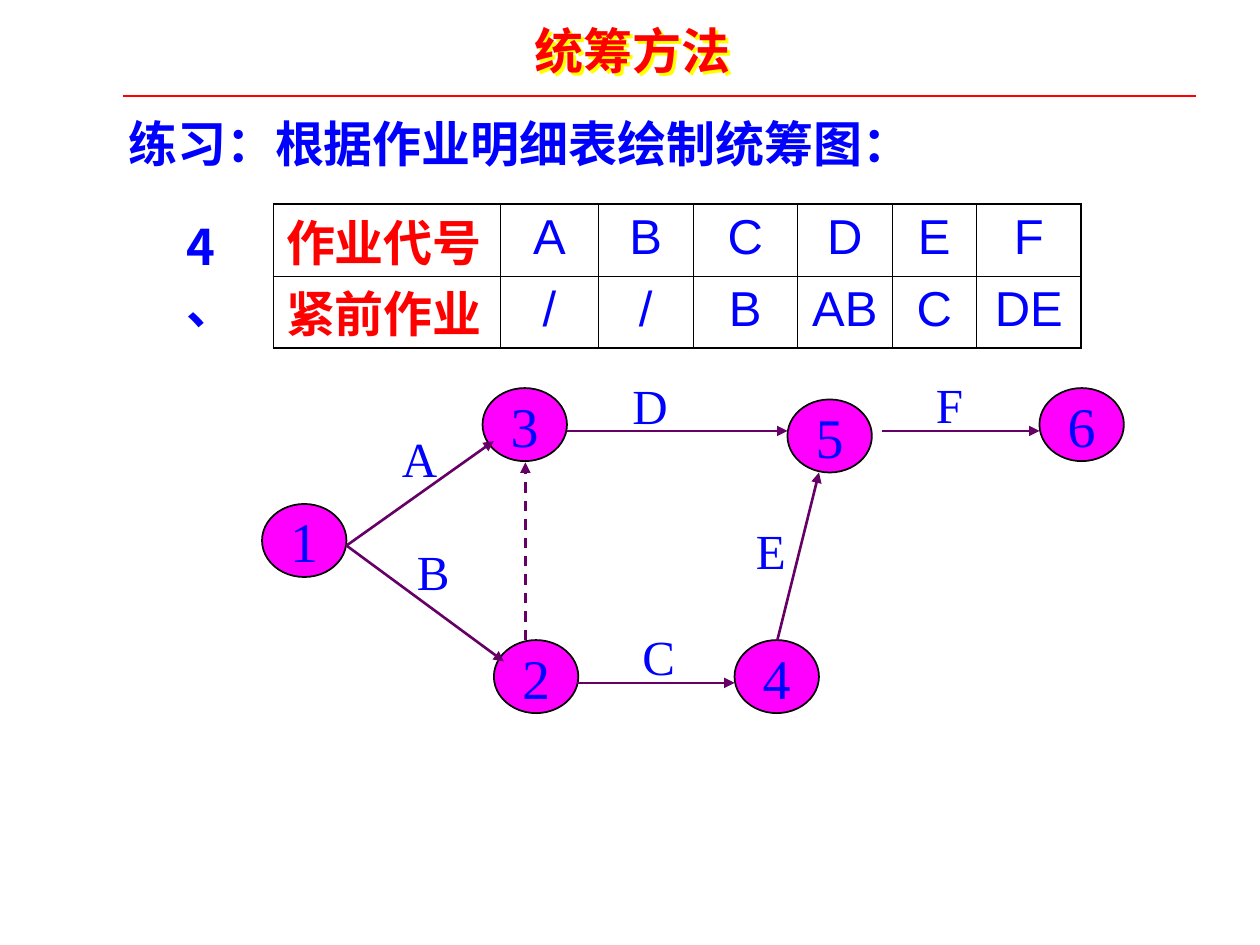
import pptx
import pptx.util
import pptx.dml.color
import pptx.enum.dml
import pptx.enum.shapes
import pptx.enum.text
import pptx.oxml
import pptx.oxml.ns
from lxml import etree

Inches, Pt = pptx.util.Inches, pptx.util.Pt
PP_ALIGN = pptx.enum.text.PP_ALIGN
ANCHOR = pptx.enum.text.MSO_ANCHOR

# Content
TITLE = ("统筹方法", (4.14, 0.11, 1.95, 0.57))
EXERCISE = ("练习：根据作业明细表绘制统筹图：", (0.92, 0.85, 6.77, 0.57))
NUMBER = ("4、", (1.38, 1.67, 0.79, 0.57))
RULE = ((0.98, 0.76), (9.49, 0.76))

TASKS = [
    ["作业代号", "A", "B", "C", "D", "E", "F"],
    ["紧前作业", "/", "/", "B", "AB", "C", "DE"],
]
TABLE_AT = (2.17, 1.62)
COLUMN_WIDTHS = [1.8, 0.78, 0.75, 0.83, 0.75, 0.67, 0.83]
ROW_HEIGHT = 0.57

NODE_SIZE = (0.67, 0.58)
NODES = {
    "1": (2.08, 4), "2": (3.92, 5.08), "3": (3.83, 3.08),
    "4": (5.83, 5.08), "5": (6.25, 3.17), "6": (8.25, 3.08),
}
# Activity, start, end, label box (left, top, width); the dummy activity has no label
ACTIVITIES = [
    ("A", (2.75, 4.33), (3.92, 3.5), (3.09, 3.35, 0.48)),
    ("B", (2.75, 4.33), (4, 5.25), (3.21, 4.25, 0.46)),
    ("C", (4.58, 5.42), (5.83, 5.42), (5, 4.92, 0.46)),
    ("D", (4.5, 3.42), (6.25, 3.42), (4.92, 2.93, 0.48)),
    ("E", (6.17, 5.08), (6.5, 3.75), (5.9, 4.08, 0.44)),
    ("F", (7, 3.42), (8.25, 3.42), (7.33, 2.92, 0.41)),
    (None, (4.17, 5.08), (4.17, 3.67), None),
]
LABEL_HEIGHT = 0.57

THEME = {
    "red": "FF0000", "blue": "0000FF", "yellow": "FFFF00", "node": "FF00FF",
    "arrow": "660066", "outline": "000000",
    "cjk": "Noto Sans CJK SC", "serif": "Times New Roman", "sans": "Arial",
    "text": 28, "node_text": 32, "label_line": 37,
    "thin": 1, "arrow_line": 1.5, "outer_border": 1.08, "inner_border": 0.45,
}


def rgb(name):
    return pptx.dml.color.RGBColor.from_string(THEME[name])


def inches(values):
    return [Inches(value) for value in values]


def xml(tag, body="", attributes=""):
    namespace = pptx.oxml.ns.nsdecls("a")
    return pptx.oxml.parse_xml(f"<a:{tag} {namespace} {attributes}>{body}</a:{tag}>")


def write(frame, text, font, color="blue", size="text", bold=False, align=PP_ALIGN.LEFT):
    frame.text = text
    paragraph = frame.paragraphs[0]
    paragraph.alignment = align
    for run in paragraph.runs:
        run.font.name = THEME[font]
        run.font.size = Pt(THEME[size])
        run.font.bold = bold
        run.font.color.rgb = rgb(color)
        east_asian = etree.SubElement(run.font._element, pptx.oxml.ns.qn("a:ea"))
        east_asian.set("typeface", THEME["cjk"])
    return paragraph


def fit(frame, wrap):
    frame.word_wrap = wrap
    frame.auto_size = pptx.enum.text.MSO_AUTO_SIZE.SHAPE_TO_FIT_TEXT
    frame.vertical_anchor = ANCHOR.TOP


def add_text(slide, text, box, font, wrap=True, **style):
    frame = slide.shapes.add_textbox(*inches(box)).text_frame
    fit(frame, wrap)
    write(frame, text, font, **style)


def add_line(slide, start, end, color, width):
    line = slide.shapes.add_connector(
        pptx.enum.shapes.MSO_CONNECTOR.STRAIGHT, *inches(start + end))
    line.line.color.rgb = rgb(color)
    line.line.width = Pt(THEME[width])
    line._element.spPr.append(xml("effectLst"))
    return line


def add_title(slide):
    text, box = TITLE
    title = slide.shapes.title
    title.left, title.top, title.width, title.height = inches(box)
    fit(title.text_frame, False)
    write(title.text_frame, text, "cjk", "red", bold=True)
    # Yellow shadow behind the lettering
    shadow = (f'<a:outerShdw dist="35921" dir="2700000" algn="ctr">'
              f'<a:srgbClr val="{THEME["yellow"]}"/></a:outerShdw>')
    title._element.spPr.append(xml("noFill"))
    title._element.spPr.append(xml("effectLst", shadow))


def set_borders(cell, row, column):
    outer = {"lnL": column == 0, "lnR": column == len(COLUMN_WIDTHS) - 1,
             "lnT": row == 0, "lnB": row == len(TASKS) - 1}
    properties = cell._tc.get_or_add_tcPr()
    for index, (side, is_outer) in enumerate(outer.items()):
        width = Pt(THEME["outer_border" if is_outer else "inner_border"])
        fill = f'<a:solidFill><a:srgbClr val="{THEME["outline"]}"/></a:solidFill>'
        properties.insert(index, xml(side, fill, f'w="{int(width)}"'))


def add_task_table(slide):
    size = (sum(COLUMN_WIDTHS), ROW_HEIGHT * len(TASKS))
    table = slide.shapes.add_table(
        len(TASKS), len(COLUMN_WIDTHS), *inches(TABLE_AT + size)).table
    table.first_row = table.horz_banding = False
    for column, width in zip(table.columns, COLUMN_WIDTHS):
        column.width = Inches(width)
    for r, values in enumerate(TASKS):
        table.rows[r].height = Inches(ROW_HEIGHT)
        for c, value in enumerate(values):
            cell = table.cell(r, c)
            cell.fill.background()
            set_borders(cell, r, c)
            if c == 0:
                label = write(cell.text_frame, value, "cjk", "red", bold=True)
                label.line_spacing = Pt(THEME["label_line"])
                cell.margin_bottom = 0
            else:
                write(cell.text_frame, value, "sans", align=PP_ALIGN.CENTER)


def add_node(slide, number, position):
    node = slide.shapes.add_shape(
        pptx.enum.shapes.MSO_SHAPE.OVAL, *inches(position + NODE_SIZE))
    node.shadow.inherit = False
    node.fill.solid()
    node.fill.fore_color.rgb = rgb("node")
    node.line.color.rgb = rgb("outline")
    node.line.width = Pt(THEME["thin"])
    node.text_frame.word_wrap = False
    node.text_frame.vertical_anchor = ANCHOR.MIDDLE
    write(node.text_frame, number, "serif", size="node_text", align=PP_ALIGN.CENTER)


def add_activity(slide, label, start, end, label_box):
    arrow = add_line(slide, start, end, "arrow", "arrow_line")
    if label:
        add_text(slide, label, label_box + (LABEL_HEIGHT,), "serif", wrap=False)
    else:
        arrow.line.dash_style = pptx.enum.dml.MSO_LINE.DASH
    arrow.line._get_or_add_ln().append(xml("tailEnd", attributes='type="triangle"'))


def main():
    presentation = pptx.Presentation()
    presentation.slide_width, presentation.slide_height = inches((10, 7.5))
    slide = presentation.slides.add_slide(presentation.slide_layouts[5])

    # Heading and exercise
    add_title(slide)
    add_line(slide, *RULE, "red", "thin")
    add_text(slide, *EXERCISE, "serif", bold=True)
    add_task_table(slide)
    add_text(slide, *NUMBER, "cjk", bold=True)

    # Network diagram
    for number, position in NODES.items():
        add_node(slide, number, position)
    for activity in ACTIVITIES:
        add_activity(slide, *activity)

    presentation.save("out.pptx")


if __name__ == "__main__":
    main()
